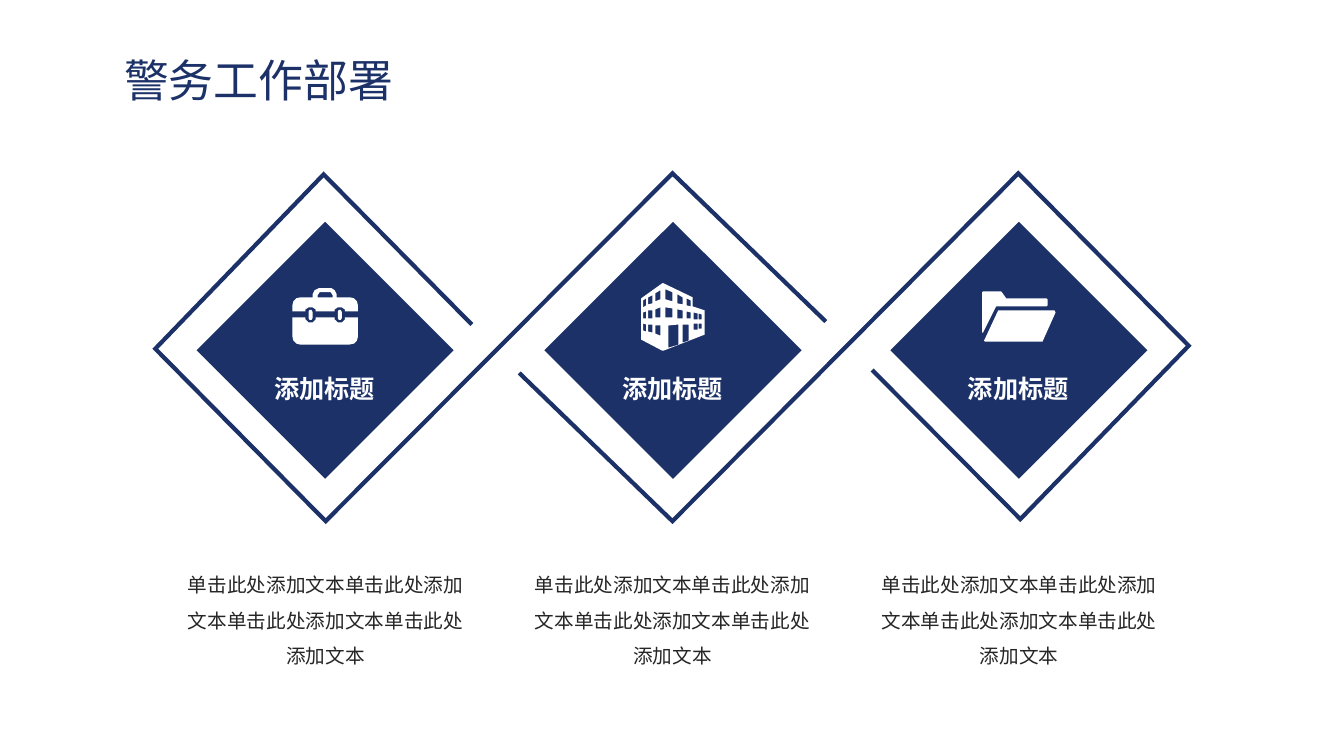
from dataclasses import dataclass

from lxml.etree import SubElement
from pptx import Presentation
from pptx.dml.color import RGBColor
from pptx.enum.shapes import MSO_SHAPE
from pptx.enum.text import MSO_ANCHOR, MSO_AUTO_SIZE, PP_ALIGN
from pptx.oxml.ns import qn
from pptx.util import Inches, Pt

FONT = "Noto Sans CJK SC"
NAVY, WHITE, DARK = "1B3168", "FFFFFF", "262626"
Points = list[tuple[float, float]]


@dataclass
class Step:
    diamond_left: float
    label: str
    icon: list[list[Points]]  # outlines, each with its contours and holes


@dataclass
class Window:
    left: float
    right: float
    corners: tuple[float, float, float, float]  # top left, top right, bottom right, bottom left

    def contour(self) -> Points:
        return list(zip((self.left, self.right, self.right, self.left), self.corners))


def color(value: str) -> RGBColor:
    return RGBColor.from_string(value)


def write_text(box, text: str, *, size: float, fill: str, bold: bool = False,
               align=PP_ALIGN.CENTER, spacing: float = 1.0, wrap: bool = True,
               anchor=MSO_ANCHOR.TOP, grow: bool = True) -> None:
    frame = box.text_frame
    frame.word_wrap = wrap
    frame.vertical_anchor = anchor
    frame.auto_size = MSO_AUTO_SIZE.SHAPE_TO_FIT_TEXT if grow else MSO_AUTO_SIZE.NONE
    para = frame.paragraphs[0]
    para.alignment = align
    para.line_spacing = spacing
    span = para.add_run()
    span.text = text
    span.font.name = FONT
    span.font.size = Pt(size)
    span.font.bold = bold
    span.font.color.rgb = color(fill)
    SubElement(span.font._element, qn("a:ea")).set("typeface", FONT)


def add_box(page, left: float, top: float, width: float, height: float):
    return page.shapes.add_textbox(Inches(left), Inches(top), Inches(width), Inches(height))


def add_outline(page, contours: list[Points], closed: bool = True):
    paths = [[(Inches(x), Inches(y)) for x, y in contour] for contour in contours]
    builder = page.shapes.build_freeform(*paths[0][0])
    builder.add_line_segments(paths[0][1:], close=closed)
    for path in paths[1:]:
        builder.move_to(*path[0])
        builder.add_line_segments(path[1:], close=closed)
    shape = builder.convert_to_shape()
    shape.shadow.inherit = False
    return shape


def paint(shape, fill: str) -> None:
    shape.fill.solid()
    shape.fill.fore_color.rgb = color(fill)
    shape.line.fill.background()


def add_ribbon(page, points: Points) -> None:
    ribbon = add_outline(page, [points], closed=False)
    ribbon.fill.background()
    ribbon.line.color.rgb = color(NAVY)
    ribbon.line.width = Pt(3)
    SubElement(ribbon.line._get_or_add_ln(), qn("a:miter")).set("lim", "800000")


def clasp(center: float) -> Points:
    return [(center + x, 3.125 + y) for x, y in
            ((-0.01, -0.05), (0.01, -0.05), (0.02, -0.03), (0.02, 0.03),
             (0.01, 0.05), (-0.01, 0.05), (-0.02, 0.03), (-0.02, -0.03))]


# Icons
CLASPS = (3.08, 3.37)
LID = [(2.90, 3.09), (2.90, 3.03), (2.91, 2.99), (2.94, 2.96), (2.98, 2.95), (3.10, 2.95),
       (3.10, 2.92), (3.12, 2.88), (3.16, 2.86), (3.29, 2.86), (3.32, 2.88), (3.34, 2.92),
       (3.34, 2.95), (3.47, 2.95), (3.51, 2.96), (3.54, 2.99), (3.55, 3.03), (3.55, 3.09)]
BODY = [(2.90, 3.34), (2.91, 3.38), (2.94, 3.41), (2.98, 3.42),
        (3.46, 3.42), (3.51, 3.41), (3.54, 3.38), (3.55, 3.34), (3.55, 3.15)]
for middle in reversed(CLASPS):
    LID += [(middle + x, y) for x, y in
            ((0.05, 3.09), (0.05, 3.07), (0.02, 3.05), (-0.02, 3.05), (-0.05, 3.07), (-0.05, 3.09))]
    BODY += [(middle + x, y) for x, y in
             ((0.05, 3.15), (0.05, 3.17), (0.02, 3.20), (-0.02, 3.20), (-0.05, 3.17), (-0.05, 3.15))]
BODY.append((2.90, 3.15))
HANDLE_HOLE = [(3.15, 2.95), (3.15, 2.93), (3.17, 2.90), (3.28, 2.90), (3.30, 2.93), (3.30, 2.95)]
BRIEFCASE = [[LID, HANDLE_HOLE, BODY, *map(clasp, CLASPS)]]

WALLS = [(6.36, 2.96), (6.57, 2.81), (6.58, 2.81), (6.87, 2.95), (6.87, 3.04),
         (6.99, 3.08), (6.99, 3.32), (6.58, 3.48), (6.57, 3.48), (6.36, 3.37)]
WINDOWS = [
    Window(6.38, 6.41, (2.98, 2.96, 3.03, 3.05)),
    Window(6.38, 6.41, (3.10, 3.09, 3.16, 3.16)),
    Window(6.38, 6.41, (3.21, 3.22, 3.29, 3.28)),
    Window(6.43, 6.47, (2.95, 2.93, 3.01, 3.02)),
    Window(6.43, 6.47, (3.08, 3.08, 3.16, 3.16)),
    Window(6.43, 6.47, (3.22, 3.22, 3.30, 3.29)),
    Window(6.50, 6.55, (2.91, 2.88, 2.97, 2.99)),
    Window(6.50, 6.55, (3.07, 3.05, 3.15, 3.15)),
    Window(6.50, 6.55, (3.23, 3.23, 3.33, 3.31)),
    Window(6.60, 6.67, (2.87, 2.90, 2.99, 2.97)),
    Window(6.60, 6.67, (3.05, 3.06, 3.15, 3.15)),
    Window(6.72, 6.77, (2.92, 2.95, 3.02, 3.01)),
    Window(6.72, 6.77, (3.07, 3.08, 3.16, 3.16)),
    Window(6.81, 6.85, (2.96, 2.98, 3.04, 3.03)),
    Window(6.81, 6.85, (3.09, 3.10, 3.16, 3.16)),
    Window(6.88, 6.92, (3.10, 3.11, 3.17, 3.17)),
    Window(6.88, 6.92, (3.21, 3.21, 3.27, 3.27)),
    Window(6.93, 6.96, (3.11, 3.12, 3.17, 3.17)),
    Window(6.93, 6.96, (3.21, 3.21, 3.26, 3.26)),
    Window(6.63, 6.73, (3.23, 3.22, 3.42, 3.45)),
    Window(6.77, 6.83, (3.22, 3.22, 3.38, 3.40)),
]
BUILDING = [[WALLS, *(window.contour() for window in WINDOWS)]]

FOLDER_FRONT = [(9.90, 3.08), (10.46, 3.08), (10.47, 3.10), (10.34, 3.39), (9.77, 3.39), (9.76, 3.38)]
FOLDER_BACK = [(9.75, 2.89), (9.93, 2.89), (9.98, 2.96), (10.38, 2.96), (10.39, 2.97), (10.39, 3.03),
               (10.38, 3.04), (9.88, 3.04), (9.75, 3.30), (9.74, 3.30), (9.74, 2.90)]
FOLDER = [[FOLDER_FRONT], [FOLDER_BACK]]

# Content
RIBBONS = [
    [(8.65, 3.67), (10.12, 5.15), (11.79, 3.43), (10.10, 1.72), (6.67, 5.17), (5.15, 3.70)],
    [(4.68, 3.22), (3.21, 1.73), (1.54, 3.46), (3.23, 5.17), (6.67, 1.72), (8.19, 3.19)],
]
STEPS = [Step(1.95, "添加标题", BRIEFCASE), Step(5.40, "添加标题", BUILDING), Step(8.83, "添加标题", FOLDER)]
CAPTION = "单击此处添加文本" * 4
CAPTION_LEFT, CAPTION_PITCH = 1.75, 3.44
DIAMOND_SIZE = 2.55


def add_step(page, index: int, step: Step) -> None:
    diamond = page.shapes.add_shape(MSO_SHAPE.DIAMOND, Inches(step.diamond_left), Inches(2.2),
                                    Inches(DIAMOND_SIZE), Inches(DIAMOND_SIZE))
    diamond.shadow.inherit = False
    paint(diamond, NAVY)
    for contours in step.icon:
        paint(add_outline(page, contours), WHITE)
    label = add_box(page, step.diamond_left + 0.65, 3.65, 1.24, 0.4)
    write_text(label, step.label, size=18, fill=WHITE, bold=True, wrap=False)
    caption = add_box(page, CAPTION_LEFT + index * CAPTION_PITCH, 5.52, 2.96, 1.12)
    write_text(caption, CAPTION, size=14, fill=DARK, spacing=1.5)


def main() -> None:
    deck = Presentation()
    deck.slide_width, deck.slide_height = Inches(13.33), Inches(7.5)
    page = deck.slides.add_slide(deck.slide_layouts[5])

    # Title
    title = page.shapes.title
    title.left, title.top, title.width, title.height = map(Inches, (1.16, 0.55, 4.33, 0.47))
    frame = title.text_frame
    frame.margin_left = frame.margin_right = Inches(0.07)
    frame.margin_top = frame.margin_bottom = Inches(0.04)
    write_text(title, "警务工作部署", size=32, fill=NAVY, align=PP_ALIGN.LEFT,
               anchor=MSO_ANCHOR.MIDDLE, grow=False)

    # Ribbons and steps
    for points in RIBBONS:
        add_ribbon(page, points)
    for index, step in enumerate(STEPS):
        add_step(page, index, step)

    deck.save("out.pptx")


if __name__ == "__main__":
    main()
